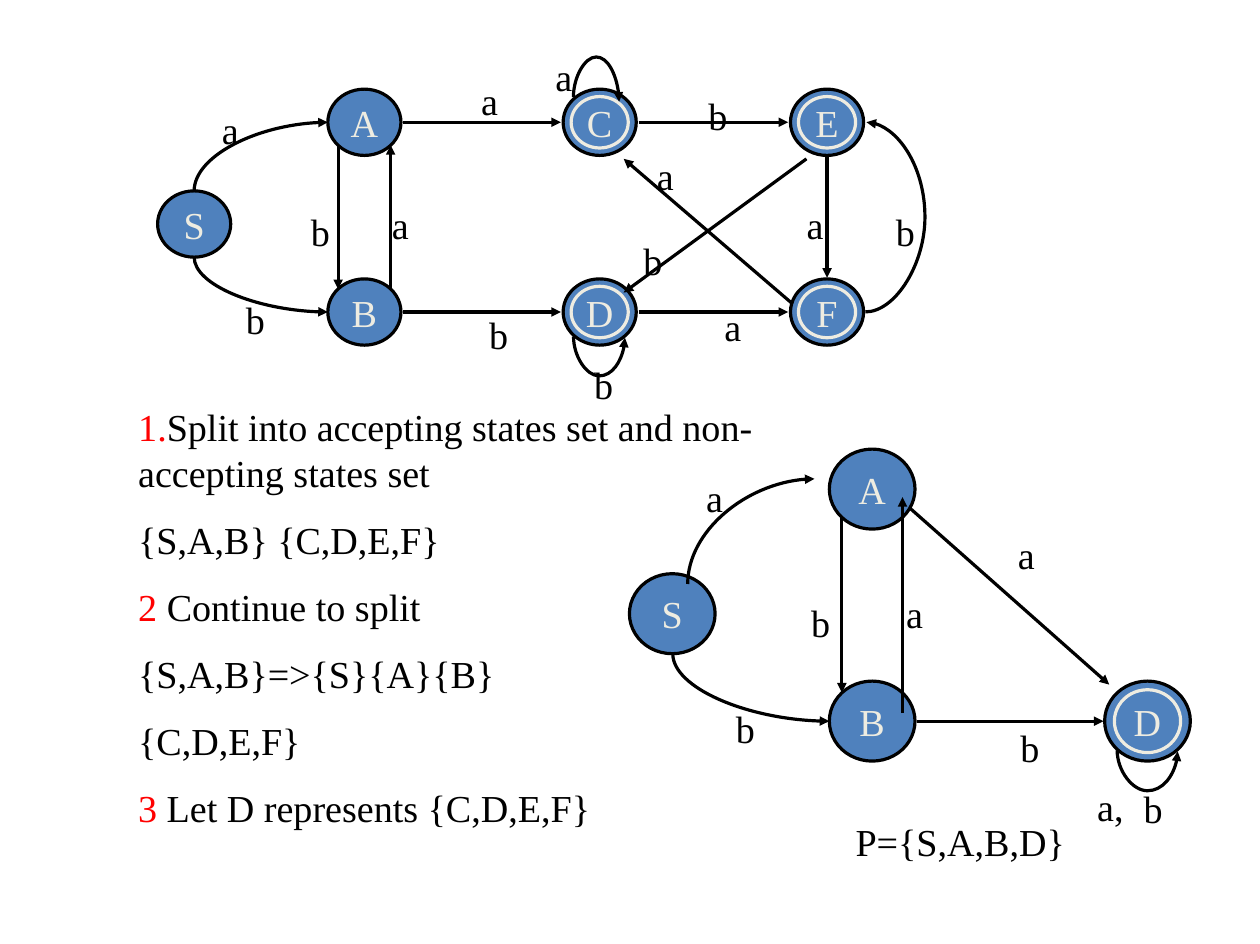
from lxml.etree import SubElement
from pptx import Presentation
from pptx.dml.color import RGBColor
from pptx.enum.shapes import MSO_CONNECTOR as CONNECTOR, MSO_SHAPE as SHAPE
from pptx.enum.text import MSO_ANCHOR as ANCHOR, PP_ALIGN as ALIGN
from pptx.oxml.ns import qn
from pptx.util import Inches, Pt

BLACK, RED, BLUE, CREAM = "000000", "FF0000", "4F81BD", "EEECE1"

# Preset, rotation in degrees and flip of each kind of bent edge
BENDS = {
    "rise": ("curvedConnector2", 270, None),
    "fall": ("curvedConnector2", 270, "flipH"),
    "over": ("curvedConnector3", 90, "flipV"),
    "under": ("curvedConnector3", 270, "flipH"),
    "side": ("curvedConnector3", 0, "flipV"),
}

FULL = {
    "size": (0.64, 0.58),
    "ring": (0.07, 0.065),
    "states": {"S": (0, 0.89), "A": (1.49, 0), "B": (1.49, 1.66), "C": (3.55, 0),
               "D": (3.55, 1.66), "E": (5.54, 0), "F": (5.54, 1.66)},
    "accepting": "CDEF",
    "arrows": [((1.58, 0.49), (1.58, 1.75)), ((2.04, 1.75), (2.04, 0.49)),
               ((2.15, 0.29), (3.53, 0.29)), ((2.15, 1.95), (3.53, 1.95)),
               ((4.21, 0.29), (5.52, 0.29)), ((4.21, 1.95), (5.52, 1.95)),
               ((5.86, 0.59), (5.86, 1.65)), ((5.56, 1.88), (4.08, 0.61)),
               ((5.68, 0.61), (4.08, 1.78))],
    "bends": [("rise", (0.32, 0.89), (1.49, 0.29), 0),
              ("fall", (0.32, 1.47), (1.49, 1.95), 0),
              ("side", (6.2, 1.95), (6.2, 0.29), 0.53),
              ("over", (3.64, 0.07), (4.04, 0.11), -0.35),
              ("under", (3.64, 2.17), (4.09, 2.17), 0.35)],
    "labels": {"a": [(0.46, 0.1), (1.95, 0.93), (2.73, -0.16), (4.27, 0.5),
                     (5.58, 0.93), (4.86, 1.82), (3.38, -0.37)],
               "b": [(6.36, 0.99), (0.67, 1.76), (1.24, 0.99), (2.8, 1.89),
                     (4.15, 1.24), (4.72, -0.03), (3.72, 2.33)]},
}

MINIMAL = {
    "size": (0.75, 0.7),
    "ring": (0.085, 0.075),
    "states": {"S": (0, 1.09), "A": (1.75, 0), "B": (1.75, 2.03), "D": (4.16, 2.03)},
    "accepting": "D",
    "arrows": [((2.39, 2.31), (2.39, 0.42)), ((1.86, 0.6), (1.86, 2.13)),
               ((2.52, 2.38), (4.15, 2.38)), ((2.46, 0.52), (4.2, 2.06))],
    "bends": [("rise", (0.51, 1.18), (1.62, 0.26), 0),
              ("fall", (0.38, 1.79), (1.75, 2.38), 0),
              ("under", (4.27, 2.64), (4.8, 2.64), 0.36)],
    "labels": {"a": [(0.57, 0.17), (2.32, 1.18), (3.3, 0.66)],
               "b": [(0.83, 2.19), (1.49, 1.26), (3.32, 2.35), (4.4, 2.89)],
               "a,": [(3.99, 2.87)]},
}
LABEL_WIDTHS = {"a": 0.35, "b": 0.37, "a,": 0.44}

STEPS = [
    ("1.", "Split into accepting states set and non-accepting states set"),
    ("", "{S,A,B} {C,D,E,F}"),
    ("2 ", "Continue to split"),
    ("", "{S,A,B}=>{S}{A}{B}"),
    ("", "{C,D,E,F}"),
    ("3", " Let D represents {C,D,E,F}"),
]


def rgb(value):
    """Turn a hex string into a colour."""
    return RGBColor.from_string(value)


def style_font(font, color):
    """Apply the slide's typeface and size in one colour."""
    font.name, font.size = "Times New Roman", Pt(24)
    font.color.rgb = rgb(color)


def write_centred(frame, wording, color):
    """Write one centred line in a text frame."""
    frame.text = wording
    frame.word_wrap = False
    frame.vertical_anchor = ANCHOR.MIDDLE
    line = frame.paragraphs[0]
    line.alignment = ALIGN.CENTER
    style_font(line.runs[0].font, color)


def draw_ellipse(slide, left, top, width, height, outline, state=""):
    """Draw one state ellipse, with its name if given."""
    ellipse = slide.shapes.add_shape(SHAPE.OVAL, Inches(left), Inches(top), Inches(width), Inches(height))
    ellipse.shadow.inherit = False
    ellipse.fill.solid()
    ellipse.fill.fore_color.rgb = rgb(BLUE)
    ellipse.line.color.rgb = rgb(outline)
    ellipse.line.width = Pt(2)
    if state:
        write_centred(ellipse.text_frame, state, CREAM)


def draw_arrow(slide, kind, x1, y1, x2, y2):
    """Draw a black connector with a triangle at its end."""
    arrow = slide.shapes.add_connector(kind, Inches(x1), Inches(y1), Inches(x2), Inches(y2))
    arrow.line.color.rgb = rgb(BLACK)
    arrow.line.width = Pt(2)
    properties = arrow._element.spPr
    SubElement(properties.find(qn("a:ln")), qn("a:tailEnd"), type="triangle")
    SubElement(properties, qn("a:effectLst"))
    return arrow


def draw_bend(slide, bend, x1, y1, x2, y2, depth):
    """Draw a curved arrow, rotated and flipped to leave its state the right way."""
    preset, turn, flip = BENDS[bend]
    width, height = abs(x2 - x1), abs(y2 - y1)
    if turn:
        width, height = height, width
    width = max(width, 0.01)
    left, top = (x1 + x2 - width) / 2, (y1 + y2 - height) / 2
    arrow = draw_arrow(slide, CONNECTOR.CURVE, left, top, left + width, top + height)
    properties = arrow._element.spPr
    frame = properties.find(qn("a:xfrm"))
    if turn:
        frame.set("rot", str(turn * 60000))
    if flip:
        frame.set(flip, "1")
    geometry = properties.find(qn("a:prstGeom"))
    geometry.set("prst", preset)
    if depth:
        guides = geometry.find(qn("a:avLst"))
        if guides is None:
            guides = SubElement(geometry, qn("a:avLst"))
        SubElement(guides, qn("a:gd"), name="adj1", fmla=f"val {round(depth / width * 100000)}")


def draw_automaton(slide, left, top, automaton):
    """Draw states, transitions and labels from the given corner."""
    width, height = automaton["size"]
    ring_x, ring_y = automaton["ring"]
    for state, (x, y) in automaton["states"].items():
        accepting = state in automaton["accepting"]
        draw_ellipse(slide, left + x, top + y, width, height, BLACK, "" if accepting else state)
        if accepting:
            draw_ellipse(slide, left + x + ring_x, top + y + ring_y,
                         width - 2 * ring_x, height - 2 * ring_y, CREAM, state)
    for (x1, y1), (x2, y2) in automaton["arrows"]:
        draw_arrow(slide, CONNECTOR.STRAIGHT, left + x1, top + y1, left + x2, top + y2)
    for bend, (x1, y1), (x2, y2), depth in automaton["bends"]:
        draw_bend(slide, bend, left + x1, top + y1, left + x2, top + y2, depth)
    for symbol, places in automaton["labels"].items():
        for x, y in places:
            label = slide.shapes.add_textbox(Inches(left + x), Inches(top + y),
                                             Inches(LABEL_WIDTHS[symbol]), Inches(0.51))
            write_centred(label.text_frame, symbol, BLACK)


def set_insets(frame):
    """Give a text frame the margins shared by the two captions."""
    frame.word_wrap = True
    frame.margin_left = frame.margin_right = Inches(0.11)
    frame.margin_top = frame.margin_bottom = Inches(0.06)


def write_steps(body, left, top, width, height):
    """Fill the body placeholder with the minimisation steps."""
    body.left, body.top = Inches(left), Inches(top)
    body.width, body.height = Inches(width), Inches(height)
    frame = body.text_frame
    set_insets(frame)
    frame.vertical_anchor = ANCHOR.TOP
    for index, (number, wording) in enumerate(STEPS):
        step = frame.add_paragraph() if index else frame.paragraphs[0]
        properties = step._p.get_or_add_pPr()
        properties.set("marL", "0")
        properties.set("indent", "0")
        SubElement(properties, qn("a:buNone"))
        step.alignment = ALIGN.LEFT
        step.space_before = Pt(13.5 if index else 0)
        for part, color in ((number, RED), (wording, BLACK)):
            if part:
                run = step.add_run()
                run.text = part
                style_font(run.font, color)


def write_result(slide, left, top, width, height):
    """Write the final partition."""
    result = slide.shapes.add_textbox(Inches(left), Inches(top), Inches(width), Inches(height))
    set_insets(result.text_frame)
    result.text_frame.text = "P={S,A,B,D}"
    style_font(result.text_frame.paragraphs[0].runs[0].font, BLACK)


def main():
    """Build and save the slide."""
    deck = Presentation()
    deck.slide_width, deck.slide_height = Inches(11.03), Inches(8.26)
    slide = deck.slides.add_slide(deck.slide_layouts[1])
    title = slide.shapes.title._element
    title.getparent().remove(title)
    draw_automaton(slide, 5.51, 3.93, MINIMAL)
    draw_automaton(slide, 1.38, 0.78, FULL)
    write_steps(slide.placeholders[1], 1.1, 3.47, 6.34, 3.95)
    write_result(slide, 7.38, 7.1, 3.65, 0.52)
    deck.save("out.pptx")


if __name__ == "__main__":
    main()
